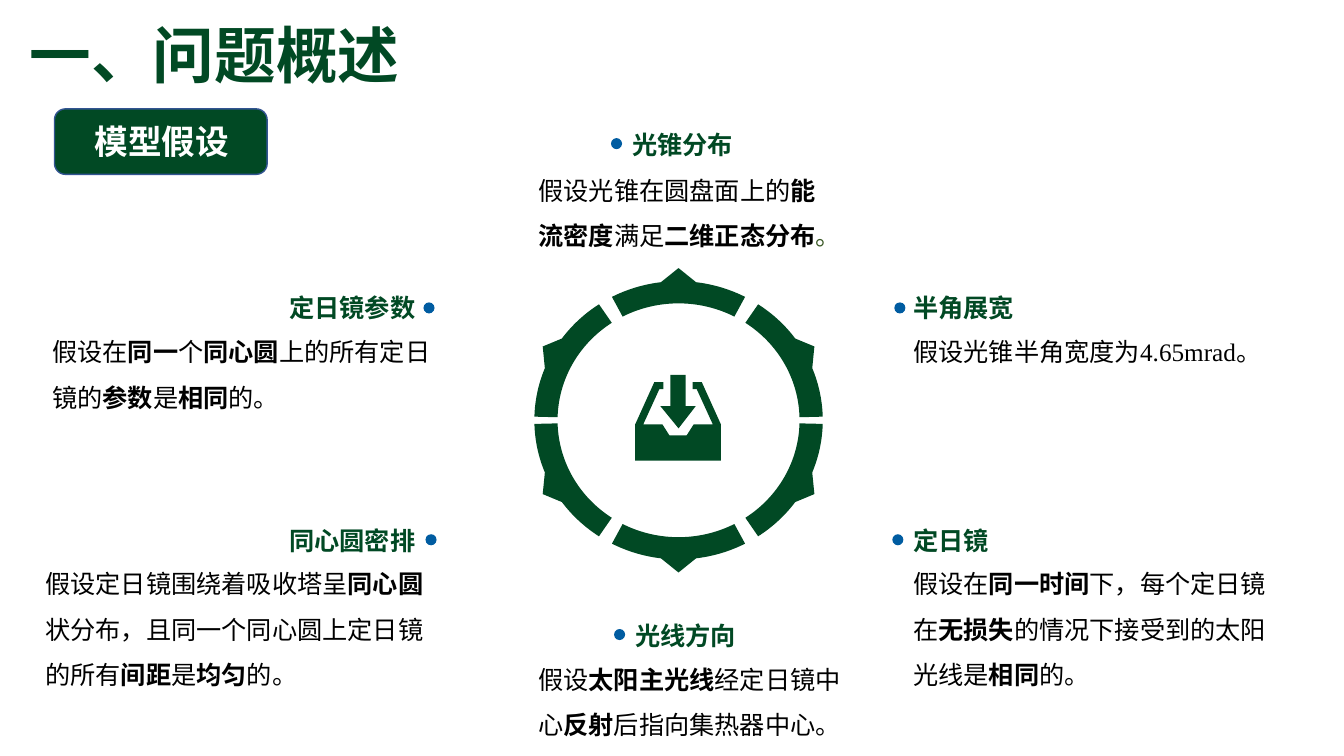
import math

import lxml.etree
import pptx
import pptx.dml.color
import pptx.enum.shapes
import pptx.enum.text
import pptx.oxml.ns
import pptx.util

PX = 9144  # EMU in one px, 100 px to the inch
COLORS = {"green": "014924", "border": "325491", "white": "FFFFFF",
          "black": "000000", "dot": "005CA1", "full_stop": "385723"}
SANS, SERIF = "Noto Sans CJK SC", "Times New Roman"
INSETS = (10, 5, 10, 5)

RING_CENTER = (673, 417)
RING_INNER, RING_OUTER, RING_TIP = (120, 116), (143, 138), (154, 151)
SEGMENT_ANGLES = (0, 61, 119, 180, 241, 299)
HALF_SEGMENT, HALF_TIP = 27.5, 7

ARROW = [(680, 403), (680, 372), (665, 372), (665, 403), (655, 403),
         (673, 425), (690, 403)]
TRAY = [(696, 379), (687, 379), (687, 386), (691, 386), (707, 421), (688, 421),
        (681, 432), (664, 432), (657, 421), (638, 421), (654, 386), (658, 386),
        (658, 379), (649, 379), (630, 421), (630, 457), (715, 457), (715, 421)]

# heading, heading box, dot corner, body box, body with *bold* parts, latin font
ASSUMPTIONS = [
    ("同心圆密排", (277, 516, 146, 40), (422, 530), (35, 544, 408, 141),
     "假设定日镜围绕着吸收塔呈*同心圆*状分布，且同一个同心圆上定日镜的所有*间距*是*均匀*的。", SANS),
    ("半角展宽", (896, 285, 121, 40), (887, 300), (896, 314, 386, 50),
     "假设光锥半角宽度为4.65mrad。", SERIF),
    ("定日镜", (896, 516, 96, 40), (885, 530), (896, 544, 377, 141),
     "假设在*同一时间*下，每个定日镜在*无损失*的情况下接受到的太阳光线是*相同*的。", SANS),
    ("光线方向", (620, 610, 121, 40), (609, 624), (524, 639, 337, 96),
     "假设*太阳主光线*经定日镜中心*反射*后指向集热器中心。", SANS),
    ("定日镜参数", (277, 285, 146, 40), (420, 300), (42, 314, 408, 96),
     "假设在*同一*个*同心圆*上的所有定日镜的*参数*是*相同*的。", SANS),
    ("光锥分布", (617, 123, 121, 40), (606, 137), (515, 154, 313, 96),
     "假设光锥在圆盘面上的*能流密度*满足*二维正态分布*", SANS),
]


def px(length):
    return pptx.util.Emu(round(length * PX))


def rgb(name):
    return pptx.dml.color.RGBColor.from_string(COLORS[name])


def paint(shape, fill, border=None):
    shape.shadow.inherit = False
    shape.fill.solid()
    shape.fill.fore_color.rgb = rgb(fill)
    if border:
        shape.line.color.rgb = rgb(border)
        shape.line.width = pptx.util.Pt(1)
    else:
        shape.line.fill.background()


def add_preset(slide, kind, box, fill, border=None):
    shape = slide.shapes.add_shape(kind, *map(px, box))
    paint(shape, fill, border)


def add_outline(slide, points):
    corners = [(px(x), px(y)) for x, y in points]
    builder = slide.shapes.build_freeform(*corners[0], scale=1.0)
    builder.add_line_segments(corners[1:], close=True)
    shape = builder.convert_to_shape()
    paint(shape, "green")
    return shape


def add_paragraph_box(slide, box, insets=INSETS, wrap=True, spacing=None):
    """Add a text box and return its only paragraph."""
    frame = slide.shapes.add_textbox(*map(px, box)).text_frame
    frame.word_wrap = wrap
    (frame.margin_left, frame.margin_top,
     frame.margin_right, frame.margin_bottom) = map(px, insets)
    paragraph = frame.paragraphs[0]
    if spacing:
        paragraph.line_spacing = spacing
    return paragraph


def add_run(paragraph, text, size, color, bold=False, latin=SANS):
    run = paragraph.add_run()
    run.text = text
    run.font.size = pptx.util.Pt(size)
    run.font.bold = bold
    run.font.name = latin
    run.font.color.rgb = rgb(color)
    east_asian = lxml.etree.SubElement(run.font._element, pptx.oxml.ns.qn("a:ea"))
    east_asian.set("typeface", SANS)


def add_assumption(slide, heading, heading_box, dot, body_box, body, latin):
    """Add a dot, a heading and a body; return the body's paragraph."""
    paragraph = add_paragraph_box(slide, heading_box, wrap=False)
    add_run(paragraph, heading, 18, "green", bold=True)
    paragraph = add_paragraph_box(slide, body_box, spacing=1.5)
    for index, part in enumerate(body.split("*")):
        add_run(paragraph, part, 18, "black", bold=index % 2 == 1, latin=latin)
    add_preset(slide, pptx.enum.shapes.MSO_SHAPE.OVAL, (*dot, 11, 11), "dot")
    return paragraph


def ring_point(radii, degrees, along=0):
    """Return an ellipse point, clockwise from the top, moved along its tangent."""
    sine, cosine = math.sin(math.radians(degrees)), math.cos(math.radians(degrees))
    return (RING_CENTER[0] + radii[0] * (sine + along * cosine),
            RING_CENTER[1] - radii[1] * (cosine - along * sine))


def bend(shape, line, radii, start, end):
    """Turn a straight side of a freeform into an elliptical arc."""
    reach = 4 / 3 * math.tan(math.radians(end - start) / 4)
    curve = lxml.etree.Element(pptx.oxml.ns.qn("a:cubicBezTo"))
    for x, y in (ring_point(radii, start, reach), ring_point(radii, end, -reach)):
        control = lxml.etree.SubElement(curve, pptx.oxml.ns.qn("a:pt"))
        control.set("x", str(px(x) - shape.left))
        control.set("y", str(px(y) - shape.top))
    line.getparent().replace(line, curve)
    curve.append(line[0])


def add_ring_segment(slide, middle):
    """Add an arc band with a pointed tip at its middle."""
    first, last = middle - HALF_SEGMENT, middle + HALF_SEGMENT
    tip_first, tip_last = middle - HALF_TIP, middle + HALF_TIP
    shape = add_outline(slide, [
        ring_point(RING_INNER, first), ring_point(RING_INNER, last),
        ring_point(RING_OUTER, last), ring_point(RING_OUTER, tip_last),
        ring_point(RING_TIP, middle),
        ring_point(RING_OUTER, tip_first), ring_point(RING_OUTER, first)])
    lines = list(shape._element.iter(pptx.oxml.ns.qn("a:lnTo")))
    bend(shape, lines[0], RING_INNER, first, last)
    bend(shape, lines[2], RING_OUTER, last, tip_last)
    bend(shape, lines[5], RING_OUTER, tip_first, first)


def main():
    presentation = pptx.Presentation()
    presentation.slide_width, presentation.slide_height = px(1333), px(750)
    slide = presentation.slides.add_slide(presentation.slide_layouts[6])

    title = add_paragraph_box(slide, (15, 25, 396, 74), (0, 0, 0, 0), spacing=0.9)
    title.alignment = pptx.enum.text.PP_ALIGN.CENTER
    title.space_before = pptx.util.Pt(10)
    add_run(title, "一、问题概述", 44, "green", bold=True)

    add_preset(slide, pptx.enum.shapes.MSO_SHAPE.ROUNDED_RECTANGLE,
               (54, 108, 211, 65), "green", "border")
    badge = add_paragraph_box(slide, (84, 115, 163, 50))
    add_run(badge, "模型假设", 24, "white", bold=True)

    for middle in SEGMENT_ANGLES:
        add_ring_segment(slide, middle)
    for outline in (ARROW, TRAY):
        add_outline(slide, outline)

    for assumption in ASSUMPTIONS:
        paragraph = add_assumption(slide, *assumption)
    # The last one, above the ring, is centred and ends in a green full stop.
    paragraph.alignment = pptx.enum.text.PP_ALIGN.CENTER
    add_run(paragraph, "。", 18, "full_stop")

    presentation.save("out.pptx")


if __name__ == "__main__":
    main()
